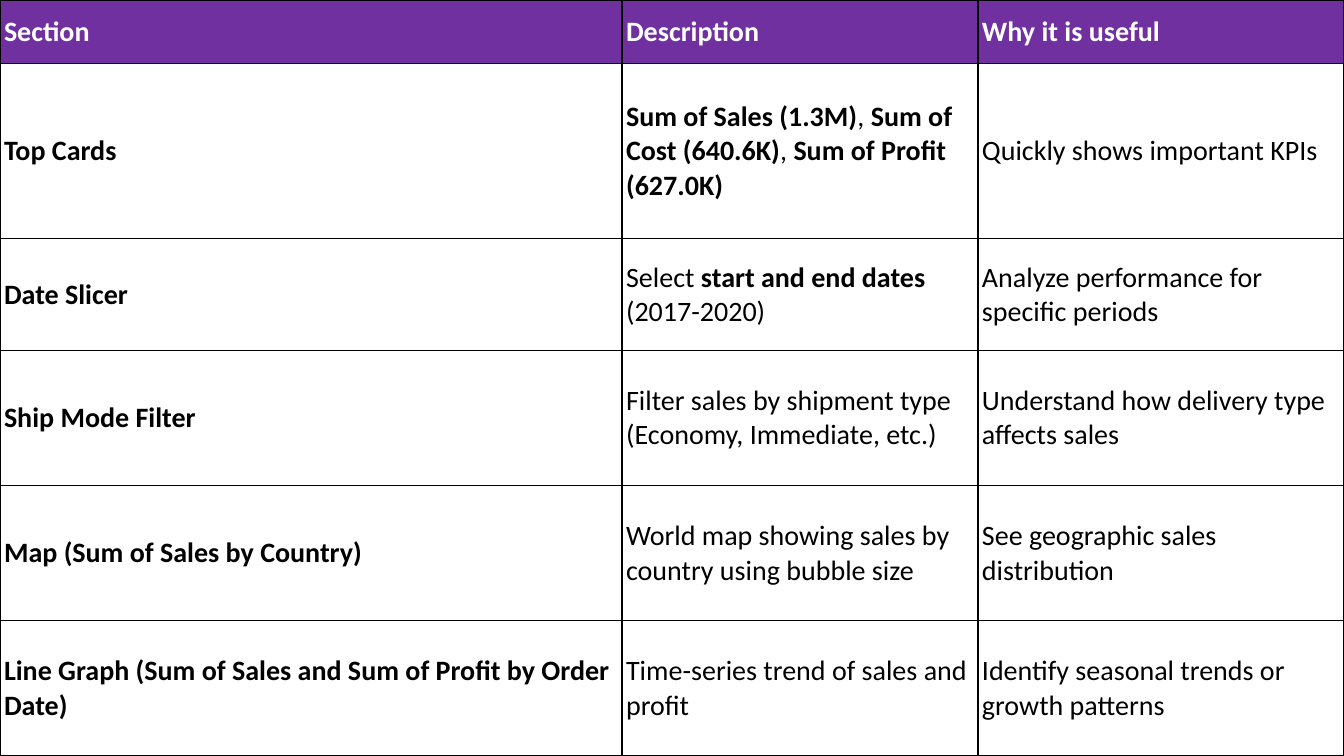
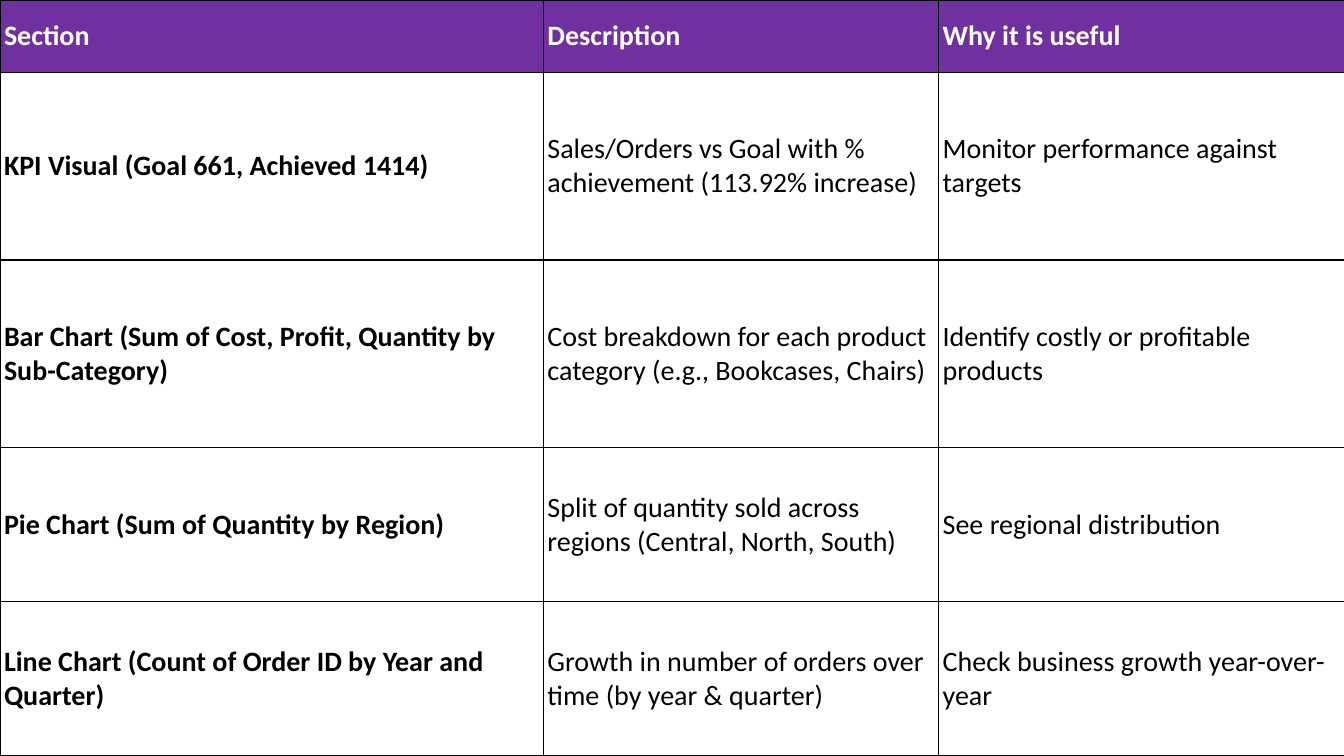
from dataclasses import dataclass

from lxml.etree import SubElement
from pptx import Presentation
from pptx.dml.color import RGBColor
from pptx.enum.text import MSO_ANCHOR
from pptx.oxml.ns import qn
from pptx.util import Inches, Pt

FONT = "Calibri"
PURPLE, WHITE, BLACK = "7030A0", "FFFFFF", "000000"
HEADER = ("Section", "Description", "Why it is useful")


@dataclass(frozen=True)
class Guide:
    """A full-slide table explaining parts of a dashboard."""

    widths: tuple[float, ...]
    heights: tuple[float, ...]
    rows: tuple[tuple[str, str, str], ...]


GUIDES = (
    Guide(
        (6.17, 3.53, 3.63),
        (0.63, 1.74, 1.11, 1.34, 1.34, 1.34),
        (
            ("Top Cards",
             "**Sum of Sales (1.3M)**, **Sum of Cost (640.6K)**, **Sum of Profit (627.0K)**",
             "Quickly shows important KPIs"),
            ("Date Slicer",
             "Select **start and end dates** (2017-2020)",
             "Analyze performance for specific periods"),
            ("Ship Mode Filter",
             "Filter sales by shipment type (Economy, Immediate, etc.)",
             "Understand how delivery type affects sales"),
            ("Map (Sum of Sales by Country)",
             "World map showing sales by country using bubble size",
             "See geographic sales distribution"),
            ("Line Graph (Sum of Sales and Sum of Profit by Order Date)",
             "Time-series trend of sales and profit",
             "Identify seasonal trends or growth patterns"),
        ),
    ),
    Guide(
        (5.39, 3.92, 4.03),
        (0.72, 1.86, 1.86, 1.53, 1.53),
        (
            ("KPI Visual (Goal 661, Achieved 1414)",
             "Sales/Orders vs Goal with % achievement (113.92% increase)",
             "Monitor performance against targets"),
            ("Bar Chart (Sum of Cost, Profit, Quantity by Sub-Category)",
             "Cost breakdown for each product category (e.g., Bookcases, Chairs)",
             "Identify costly or profitable products"),
            ("Pie Chart (Sum of Quantity by Region)",
             "Split of quantity sold across regions (Central, North, South)",
             "See regional distribution"),
            ("Line Chart (Count of Order ID by Year and Quarter)",
             "Growth in number of orders over time (by year & quarter)",
             "Check business growth year-over-year"),
        ),
    ),
)


def rgb(color: str) -> RGBColor:
    """Turn a hex string into a colour."""
    return RGBColor.from_string(color)


def add_borders(cell, color: str = BLACK, width: float = 1) -> None:
    """Draw a solid line on all four sides of a cell."""
    tc_pr = cell._tc.get_or_add_tcPr()
    for side in ("lnL", "lnR", "lnT", "lnB"):
        ln = SubElement(tc_pr, qn(f"a:{side}"), w=str(Pt(width)))
        fill = SubElement(ln, qn("a:solidFill"))
        SubElement(fill, qn("a:srgbClr"), val=color)


def write_text(tf, text: str, *, color: str = BLACK, bold: bool = False, size: float = 20) -> None:
    """Write one paragraph, with **marked** spans in bold."""
    p = tf.paragraphs[0]
    for i, part in enumerate(text.split("**")):
        if part:
            r = p.add_run()
            r.text = part
            r.font.name = FONT
            r.font.size = Pt(size)
            r.font.bold = bold or i % 2 == 1
            r.font.color.rgb = rgb(color)


def fill_cell(cell, text: str, *, fill: str, color: str, bold: bool) -> None:
    """Format one cell and write its text."""
    cell.margin_left = cell.margin_right = Inches(0.04)
    cell.margin_top = cell.margin_bottom = Inches(0.02)
    cell.vertical_anchor = MSO_ANCHOR.MIDDLE
    add_borders(cell)
    cell.fill.solid()
    cell.fill.fore_color.rgb = rgb(fill)
    write_text(cell.text_frame, text, color=color, bold=bold)


def add_guide(prs, guide: Guide) -> None:
    """Add a slide filled by one guide table."""
    s = prs.slides.add_slide(prs.slide_layouts[6])
    rows = (HEADER, *guide.rows)
    table = s.shapes.add_table(
        len(rows), len(HEADER), 0, 0, prs.slide_width, prs.slide_height
    ).table
    for column, width in zip(table.columns, guide.widths):
        column.width = Inches(width)
    for row, height in zip(table.rows, guide.heights):
        row.height = Inches(height)
    for i, texts in enumerate(rows):
        head = i == 0
        fill, color = (PURPLE, WHITE) if head else (WHITE, BLACK)
        for j, text in enumerate(texts):
            fill_cell(table.cell(i, j), text, fill=fill, color=color, bold=head or j == 0)


def main() -> None:
    """Build and save the presentation."""
    prs = Presentation()
    prs.slide_width, prs.slide_height = Inches(13.33), Inches(7.5)
    for guide in GUIDES:
        add_guide(prs, guide)
    prs.save("out.pptx")


if __name__ == "__main__":
    main()
